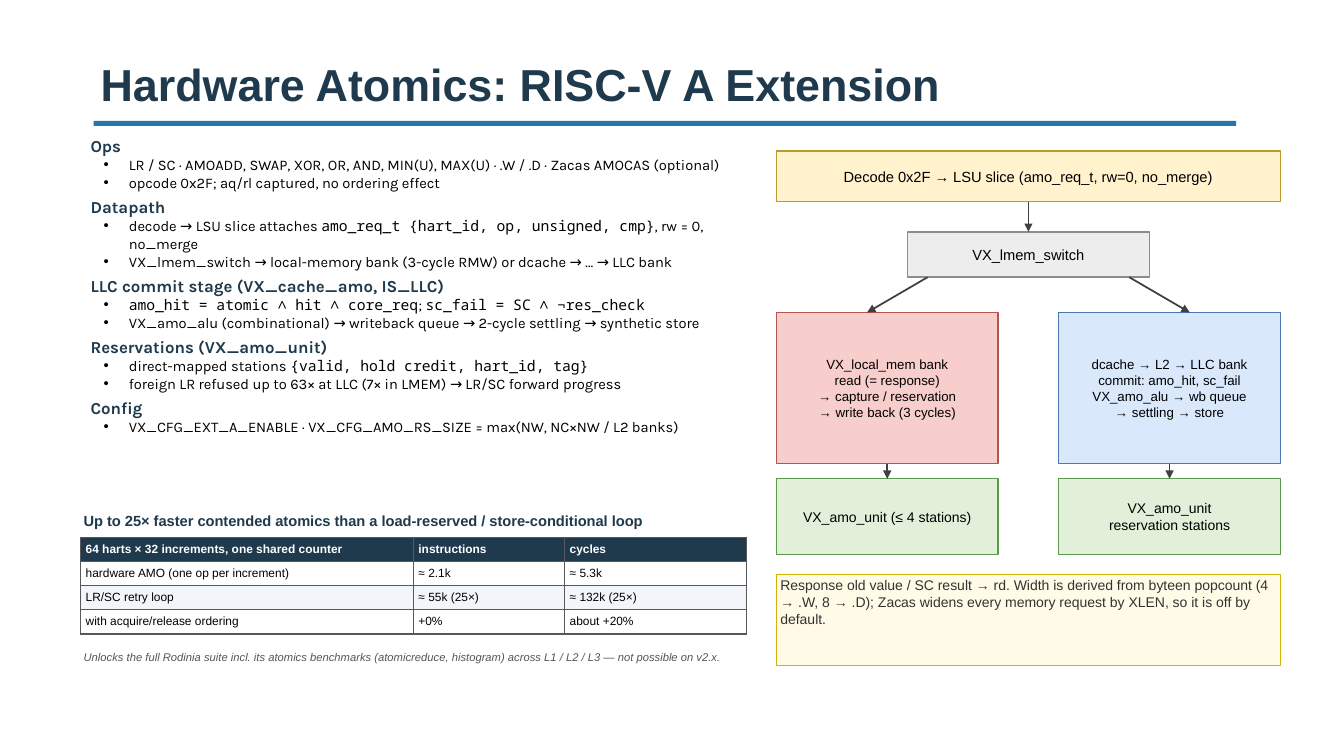
from dataclasses import dataclass

from lxml import etree
from pptx import Presentation
from pptx.dml.color import RGBColor
from pptx.enum.shapes import MSO_CONNECTOR, MSO_SHAPE
from pptx.enum.text import MSO_ANCHOR, MSO_AUTO_SIZE, PP_ALIGN
from pptx.oxml.ns import qn
from pptx.util import Inches, Pt

RECTANGLE, STRAIGHT = MSO_SHAPE.RECTANGLE, MSO_CONNECTOR.STRAIGHT
TOP, MIDDLE, BOTTOM = MSO_ANCHOR.TOP, MSO_ANCHOR.MIDDLE, MSO_ANCHOR.BOTTOM
LEFT, CENTER = PP_ALIGN.LEFT, PP_ALIGN.CENTER
FIT_SHAPE = MSO_AUTO_SIZE.SHAPE_TO_FIT_TEXT
TOP_SIDE, BOTTOM_SIDE = 0, 2
NAVY, BLACK, WHITE = "1F394D", "000000", "FFFFFF"
MONO = "Noto Sans Mono"


@dataclass
class Box:
    name: str
    area: tuple
    fill: str
    line: str
    text: str
    size: float
    color: str = BLACK
    align: int = CENTER
    anchor: int = MIDDLE


@dataclass
class Topic:
    heading: str
    bullets: list  # code is set between backticks


TOPICS = [
    Topic("Ops", [
        "LR / SC · AMOADD, SWAP, XOR, OR, AND, MIN(U), MAX(U) · .W / .D · Zacas AMOCAS (optional)",
        "opcode 0x2F; aq/rl captured, no ordering effect"]),
    Topic("Datapath", [
        "decode → LSU slice attaches `amo_req_t {hart_id, op, unsigned, cmp}`, rw = 0, no_merge",
        "VX_lmem_switch → local-memory bank (3-cycle RMW) or dcache → … → LLC bank"]),
    Topic("LLC commit stage (VX_cache_amo, IS_LLC)", [
        "`amo_hit = atomic ∧ hit ∧ core_req`; `sc_fail = SC ∧ ¬res_check`",
        "VX_amo_alu (combinational) → writeback queue → 2-cycle settling → synthetic store"]),
    Topic("Reservations (VX_amo_unit)", [
        "direct-mapped stations `{valid, hold credit, hart_id, tag}`",
        "foreign LR refused up to 63× at LLC (7× in LMEM) → LR/SC forward progress"]),
    Topic("Config", [
        "VX_CFG_EXT_A_ENABLE · VX_CFG_AMO_RS_SIZE = max(NW, NC×NW / L2 banks)"]),
]

RESULTS = [
    ("64 harts × 32 increments, one shared counter", "instructions", "cycles"),
    ("hardware AMO (one op per increment)", "≈ 2.1k", "≈ 5.3k"),
    ("LR/SC retry loop", "≈ 55k (25×)", "≈ 132k (25×)"),
    ("with acquire/release ordering", "+0%", "about +20%"),
]
RESULT_FILLS = [NAVY, WHITE, "F2F6FA", WHITE]
RESULT_WIDTHS = [3.3, 1.5, 1.8]
ROW_HEIGHT = 0.24

LEFT_X, RIGHT_X, BRANCH_WIDTH = 7.7, 10.5, 2.2
BOXES = [
    Box("decode", (LEFT_X, 1.5, 5, 0.5), "FFF2CC", "B89B2A",
        "Decode 0x2F → LSU slice (amo_req_t, rw=0, no_merge)", 10.5),
    Box("switch", (9, 2.3, 2.4, 0.45), "EDEDED", "8C8C8C", "VX_lmem_switch", 10.5),
    Box("local bank", (LEFT_X, 3.1, BRANCH_WIDTH, 1.5), "F8CECC", "B85450",
        "VX_local_mem bank\nread (= response)\n→ capture / reservation\n→ write back (3 cycles)", 9.5),
    Box("LLC bank", (RIGHT_X, 3.1, BRANCH_WIDTH, 1.5), "DAE8FC", "4A78B0",
        "dcache → L2 → LLC bank\ncommit: amo_hit, sc_fail\nVX_amo_alu → wb queue\n→ settling → store", 9.5),
    Box("LLC unit", (RIGHT_X, 4.75, BRANCH_WIDTH, 0.75), "E2F0D9", "5B9A4B",
        "VX_amo_unit\nreservation stations", 10),
    Box("local unit", (LEFT_X, 4.75, BRANCH_WIDTH, 0.75), "E2F0D9", "5B9A4B",
        "VX_amo_unit (≤ 4 stations)", 10),
    Box("response", (LEFT_X, 5.7, 5, 0.9), "FFFBE6", "D4B106",
        "Response old value / SC result → rd. Width is derived from byteen popcount "
        "(4 → .W, 8 → .D); Zacas widens every memory request by XLEN, so it is off by default.",
        10, "333333", LEFT, TOP),
]
JOINS = [("decode", "switch"), ("local bank", "local unit"), ("LLC bank", "LLC unit")]
BRANCHES = [((9.2, 2.75), (8.6, 3.1)), ((11.2, 2.75), (11.8, 3.1))]


def rgb(value: str) -> RGBColor:
    return RGBColor.from_string(value)


def write_paragraph(paragraph, text: str, *, size: float, color: str = BLACK, font: str = "Arial",
                    bold: bool = False, italic: bool = False, align: int = LEFT,
                    before: float = 0, bullet: bool = False) -> None:
    paragraph.alignment = align
    paragraph.space_before = Pt(before)
    if bullet:
        paragraph.level = 1
        properties = paragraph._p.get_or_add_pPr()
        properties.set("marL", str(Inches(0.38)))
        properties.set("indent", str(Inches(-0.25)))
        etree.SubElement(properties, qn("a:buFont"), typeface="Arial")
        etree.SubElement(properties, qn("a:buChar"), char="•")
    for index, part in enumerate(text.split("`")):
        if part:
            run = paragraph.add_run()
            run.text = part
            run.font.name = MONO if index % 2 else font
            run.font.size, run.font.bold, run.font.italic = Pt(size), bold, italic
            run.font.color.rgb = rgb(color)


def write_text(frame, text: str, *, margins: tuple, anchor: int = TOP, **format_options) -> None:
    frame.word_wrap = True
    frame.vertical_anchor = anchor
    frame.margin_left = frame.margin_right = Inches(margins[0])
    frame.margin_top = frame.margin_bottom = Inches(margins[1])
    for index, line in enumerate(text.split("\n")):
        paragraph = frame.add_paragraph() if index else frame.paragraphs[0]
        write_paragraph(paragraph, line, **format_options)


def add_text(slide, area: tuple, text: str, *, grow: bool = False, **format_options):
    frame = slide.shapes.add_textbox(*map(Inches, area)).text_frame
    write_text(frame, text, **format_options)
    if grow:
        frame.auto_size = FIT_SHAPE
    return frame


def add_rectangle(slide, area: tuple, fill: str, line: str = ""):
    shape = slide.shapes.add_shape(RECTANGLE, *map(Inches, area))
    shape.shadow.inherit = False
    shape.fill.solid()
    shape.fill.fore_color.rgb = rgb(fill)
    if line:
        shape.line.color.rgb = rgb(line)
        shape.line.width = Pt(1)
    else:
        shape.line.fill.background()
    return shape


def add_box(slide, box: Box):
    shape = add_rectangle(slide, box.area, box.fill, box.line)
    write_text(shape.text_frame, box.text, margins=(0.04, 0.02), anchor=box.anchor,
               size=box.size, color=box.color, align=box.align)
    return shape


def add_arrow(slide, start: tuple = (0, 0), end: tuple = (0, 0)):
    arrow = slide.shapes.add_connector(STRAIGHT, *map(Inches, start + end))
    arrow.line.color.rgb = rgb("404040")
    arrow.line.width = Pt(1.25)
    etree.SubElement(arrow.line._get_or_add_ln(), qn("a:tailEnd"), type="triangle")
    etree.SubElement(arrow._element.spPr, qn("a:effectLst"))
    return arrow


def add_borders(cell, color: str) -> None:
    properties = cell._tc.get_or_add_tcPr()
    for index, side in enumerate(("lnL", "lnR", "lnT", "lnB")):
        border = etree.Element(qn(f"a:{side}"), w=str(Pt(1)))
        fill = etree.SubElement(border, qn("a:solidFill"))
        etree.SubElement(fill, qn("a:srgbClr"), val=color)
        properties.insert(index, border)


def add_results(slide) -> None:
    area = (0.8, 5.33, sum(RESULT_WIDTHS), ROW_HEIGHT * len(RESULTS))
    table = slide.shapes.add_table(len(RESULTS), len(RESULT_WIDTHS), *map(Inches, area)).table
    table.horz_banding = False
    for column, width in zip(table.columns, RESULT_WIDTHS):
        column.width = Inches(width)
    for row_index, (values, fill) in enumerate(zip(RESULTS, RESULT_FILLS)):
        table.rows[row_index].height = Inches(ROW_HEIGHT)
        header = row_index == 0
        for column_index, value in enumerate(values):
            cell = table.cell(row_index, column_index)
            cell.fill.solid()
            cell.fill.fore_color.rgb = rgb(fill)
            cell.vertical_anchor = MIDDLE
            cell.margin_left = cell.margin_right = Inches(0.05)
            cell.margin_top = cell.margin_bottom = Inches(0.02)
            write_paragraph(cell.text_frame.paragraphs[0], value, size=8.5, bold=header,
                            color=WHITE if header else BLACK)
            add_borders(cell, "57585B")


def main() -> None:
    presentation = Presentation()
    presentation.slide_width, presentation.slide_height = Inches(13.33), Inches(7.5)
    slide = presentation.slides.add_slide(presentation.slide_layouts[6])

    # Title and rule
    add_rectangle(slide, (0.93, 1.2, 11.33, 0.05), "2774AE")
    add_text(slide, (0.9, 0.25, 11.1, 0.9), "Hardware Atomics: RISC-V A Extension",
             margins=(0.1, 0.05), anchor=BOTTOM, size=32, color=NAVY, bold=True)

    # Topics with bullets
    heading_format = dict(size=12, color=NAVY, font="Karla", bold=True)
    body = add_text(slide, (0.8, 1.3, 6.6, 3.9), TOPICS[0].heading, margins=(0.1, 0.05),
                    **heading_format)
    for index, topic in enumerate(TOPICS):
        if index:
            write_paragraph(body.add_paragraph(), topic.heading, before=4, **heading_format)
        for bullet in topic.bullets:
            write_paragraph(body.add_paragraph(), bullet, size=10.5, font="Karla", bullet=True)

    # Measured results
    add_text(slide, (0.8, 5.05, 6.6, 0.3),
             "Up to 25× faster contended atomics than a load-reserved / store-conditional loop",
             margins=(0.03, 0.03), grow=True, size=10.5, color=NAVY, bold=True)
    add_results(slide)
    add_text(slide, (0.8, 6.42, 6.6, 0.25),
             "Unlocks the full Rodinia suite incl. its atomics benchmarks (atomicreduce, histogram) "
             "across L1 / L2 / L3 — not possible on v2.x.",
             margins=(0.03, 0.03), grow=True, size=8, color="555555", italic=True)

    # Request flow
    shapes = {box.name: add_box(slide, box) for box in BOXES}
    for source, target in JOINS:
        arrow = add_arrow(slide)
        arrow.begin_connect(shapes[source], BOTTOM_SIDE)
        arrow.end_connect(shapes[target], TOP_SIDE)
    for start, end in BRANCHES:
        add_arrow(slide, start, end)

    presentation.save("out.pptx")


if __name__ == "__main__":
    main()
